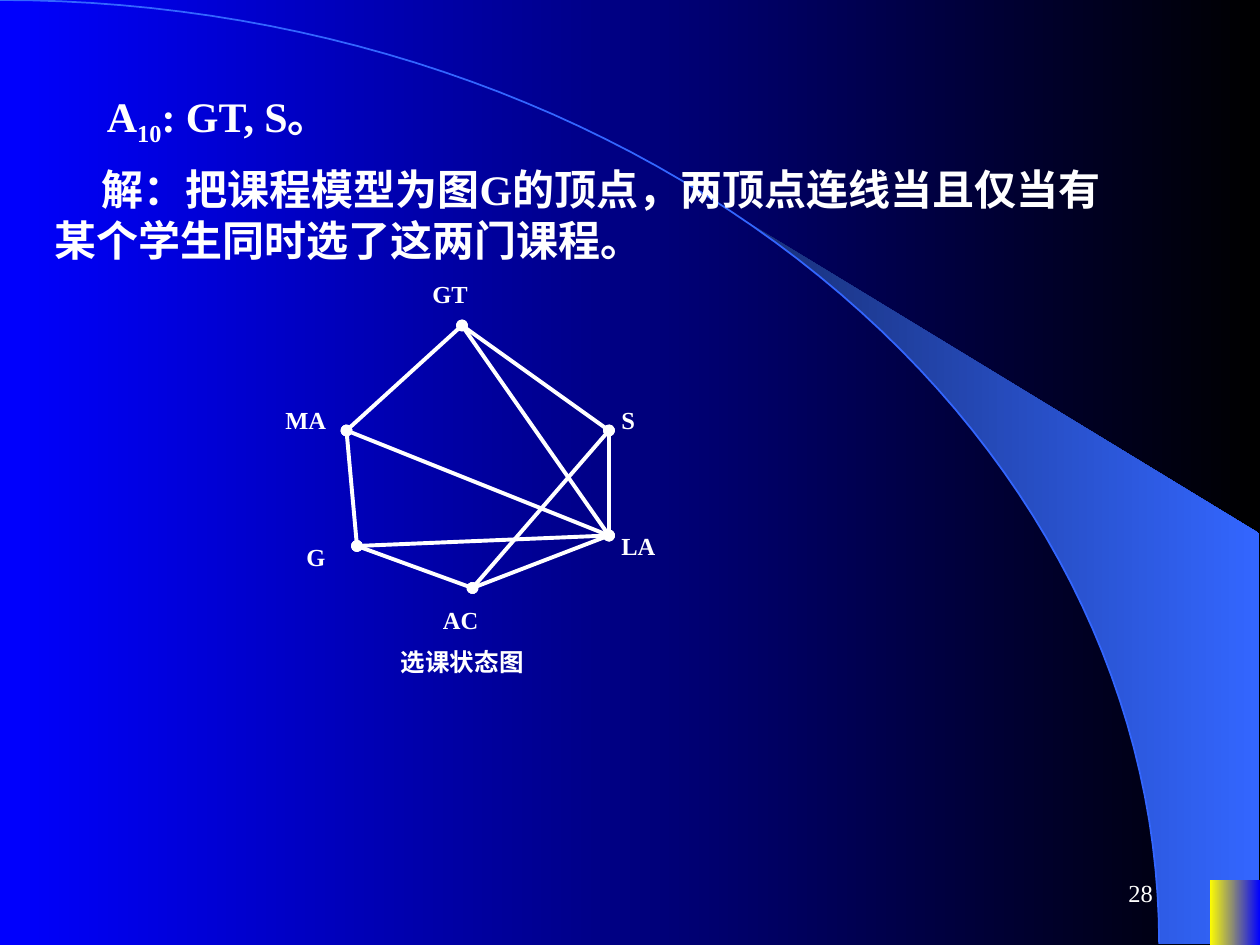
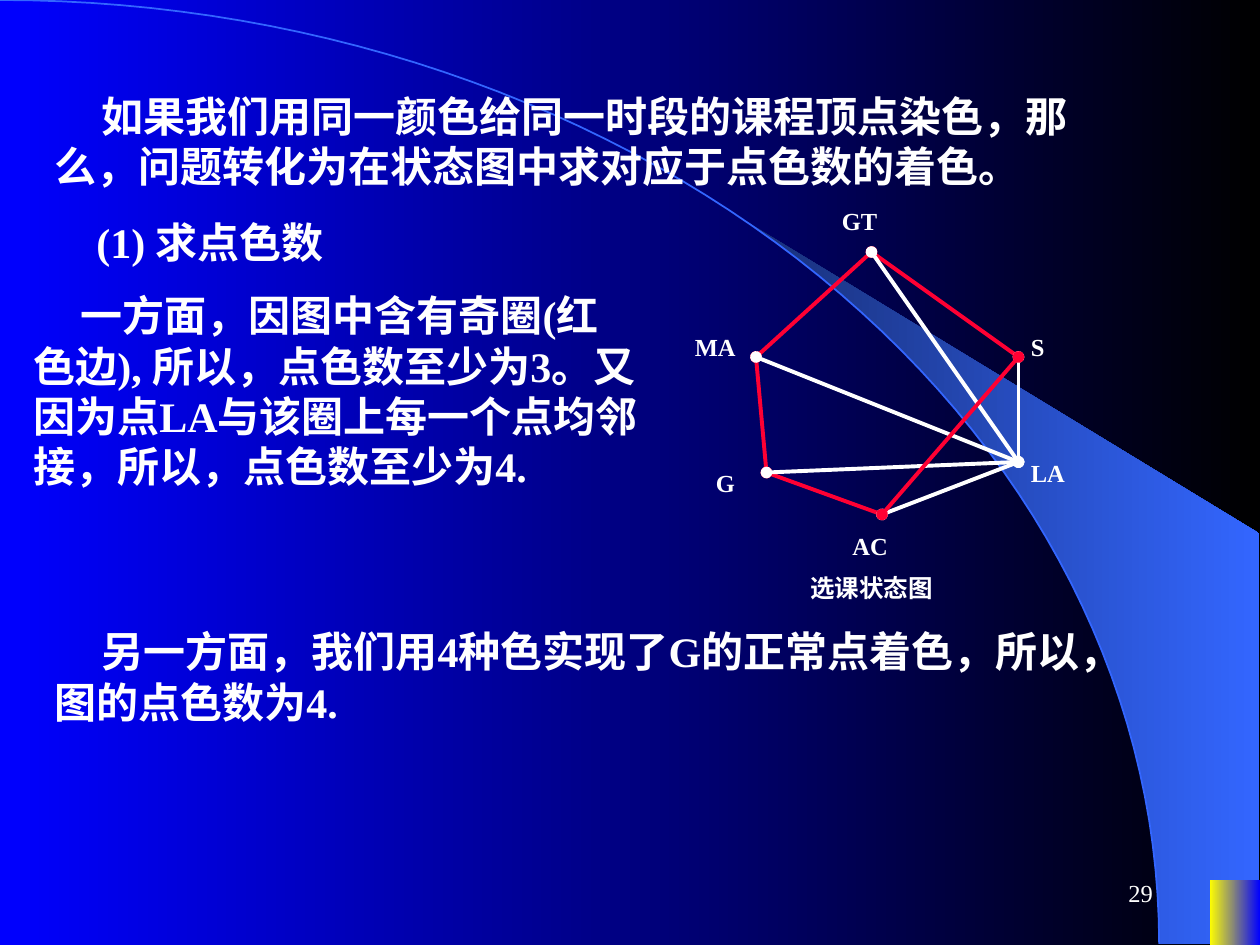
from math import asin, cos, pi, sin

from lxml.etree import SubElement
from pptx import Presentation
from pptx.dml.color import RGBColor
from pptx.enum.lang import MSO_LANGUAGE_ID
from pptx.enum.shapes import MSO_CONNECTOR, MSO_SHAPE
from pptx.enum.text import MSO_ANCHOR, MSO_AUTO_SIZE, PP_ALIGN
from pptx.oxml.ns import qn
from pptx.util import Inches, Pt

WHITE = RGBColor(0xFF, 0xFF, 0xFF)
BLACK = RGBColor(0x00, 0x00, 0x00)
BLUE = RGBColor(0x00, 0x00, 0xFF)
NAVY = RGBColor(0x18, 0x2F, 0x76)
SKY = RGBColor(0x33, 0x66, 0xFF)
YELLOW = RGBColor(0xFF, 0xFF, 0x00)
RED = RGBColor(0xFF, 0x00, 0x33)
FONT = "Times New Roman"

COLUMNS, ROWS = 120, 90
ARC_WIDTH, ARC_HEIGHT = 110.4, 89.9
SWEEP_START = asin(0.64)
LATIN_INDENT, CHINESE_INDENT = 5, 4.5

VERTICES = {
    "GT": (18, 5), "MA": (7, 15), "S": (32, 15),
    "G": (8, 26), "LA": (32, 25), "AC": (19, 30),
}
LABELS = {
    "GT": (14, 0), "MA": (0, 12), "G": (2, 25),
    "AC": (15, 31), "LA": (32, 24), "S": (32, 12),
}
EDGES = [
    ("GT", "MA"), ("GT", "S"), ("MA", "G"), ("S", "LA"), ("G", "AC"),
    ("LA", "AC"), ("GT", "LA"), ("MA", "LA"), ("G", "LA"), ("S", "AC"),
]
ODD_CYCLE = {("GT", "MA"), ("GT", "S"), ("MA", "G"), ("G", "AC"), ("S", "AC")}


def arc_points(start, steps=60):
    angles = [start + (pi / 2 - start) * step / steps for step in range(steps + 1)]
    return [(ARC_WIDTH * sin(a), ARC_HEIGHT * (1 - cos(a))) for a in angles]


def gradient(fill, first, last):
    fill.gradient()
    fill.gradient_angle = 0
    for stop, color in zip(fill.gradient_stops, (first, last)):
        stop.color.rgb = color


class CourseDeck:
    def __init__(self):
        self.deck = Presentation()
        self.deck.slide_width, self.deck.slide_height = Inches(10), Inches(7.5)
        self.layout = self.deck.slide_layouts[6]
        self.page = None

    def x(self, columns):
        return round(self.deck.slide_width * columns / COLUMNS)

    def y(self, rows):
        return round(self.deck.slide_height * rows / ROWS)

    def area(self, left, top, width, height):
        return self.x(left), self.y(top), self.x(width), self.y(height)

    def add_page(self, number):
        self.page = self.deck.slides.add_slide(self.layout)
        if number == 28:
            self.decorate_layout()
        box = self.text((86, 82, 25, 6), [str(number)], size=14, bold=False)
        box.text_frame.vertical_anchor = MSO_ANCHOR.MIDDLE
        box.text_frame.paragraphs[0].alignment = PP_ALIGN.RIGHT

    def decorate_layout(self):
        gradient(self.layout.background.fill, BLUE, BLACK)
        sweep = self.outline(
            arc_points(SWEEP_START) + [(119.9, ARC_HEIGHT), (119.9, 50.8)], True)
        gradient(sweep.fill, NAVY, SKY)
        sweep.line.fill.background()
        arc = self.outline(arc_points(0), False)
        arc.fill.background()
        arc.line.color.rgb = SKY
        arc.line.width = Pt(1)
        corner = self.page.shapes.add_shape(
            MSO_SHAPE.RECTANGLE, *self.area(115.2, 83.8, 4.8, 6.2))
        corner.shadow.inherit = False
        gradient(corner.fill, YELLOW, BLUE)
        corner.line.fill.background()
        for shape in (sweep, arc, corner):
            self.layout.shapes.element.append(shape.element)

    def outline(self, points, close):
        points = [(self.x(column), self.y(row)) for column, row in points]
        builder = self.page.shapes.build_freeform(*points[0])
        builder.add_line_segments(points[1:], close=close)
        shape = builder.convert_to_shape()
        shape.shadow.inherit = False
        return shape

    def text(self, area, spans, size=24, bold=True, indent=0, shapes=None):
        shapes = self.page.shapes if shapes is None else shapes
        box = shapes.add_textbox(*self.area(*area))
        frame = box.text_frame
        frame.word_wrap = True
        frame.auto_size = MSO_AUTO_SIZE.SHAPE_TO_FIT_TEXT if bold else MSO_AUTO_SIZE.NONE
        para = frame.paragraphs[0]
        if indent:
            properties = para._p.get_or_add_pPr()
            properties.set("marL", "0")
            properties.set("indent", str(self.x(indent)))
        for position, words in enumerate(spans):
            span = para.add_run()
            span.text = words
            span.font.name = FONT
            span.font.size = Pt(size)
            span.font.bold = bold
            span.font.color.rgb = WHITE
            span.font.language_id = MSO_LANGUAGE_ID.SIMPLIFIED_CHINESE
            if position % 2:
                span._r.get_or_add_rPr().set("baseline", "-25000")
        return box

    def edge(self, shapes, start, end, color):
        line = shapes.add_connector(
            MSO_CONNECTOR.STRAIGHT,
            self.x(start[0]), self.y(start[1]), self.x(end[0]), self.y(end[1]))
        line.line.color.rgb = color
        line.line.width = Pt(2.25)
        outline = line.line._get_or_add_ln()
        for tag in ("a:headEnd", "a:tailEnd"):
            SubElement(outline, qn(tag), type="oval")
        SubElement(line.element.spPr, qn("a:effectLst"))

    def course_graph(self, left, top, red_edges=()):
        shapes = self.page.shapes.add_group_shape().shapes
        places = {name: (left + column, top + row)
                  for name, (column, row) in VERTICES.items()}
        for start, end in EDGES:
            color = RED if (start, end) in red_edges else WHITE
            self.edge(shapes, places[start], places[end], color)
        for name, (column, row) in LABELS.items():
            self.text((left + column, top + row, 8.2, 4.1), [name], size=14, shapes=shapes)
        self.text((left + 11, top + 35, 19, 4.1), ["选课状态图"], size=14, shapes=shapes)


def main():
    course = CourseDeck()

    course.add_page(28)
    course.text((4, 8, 102, 6.7), ["A", "10", ": GT, S。"], indent=LATIN_INDENT)
    course.text(
        (4, 15, 102, 10.8),
        ["解：把课程模型为图G的顶点，两顶点连线当且仅当有某个学生同时选了这两门课程。"],
        indent=CHINESE_INDENT)
    course.course_graph(26, 26)

    course.add_page(29)
    course.text(
        (4, 8, 102, 10.8),
        ["如果我们用同一颜色给同一时段的课程顶点染色，那么，问题转化为在状态图中求对应于点色数的着色。"],
        indent=CHINESE_INDENT)
    course.text((3, 20, 102, 6), ["(1) 求点色数"], indent=LATIN_INDENT)
    course.text(
        (2, 27, 60, 20.4),
        ["一方面，因图中含有奇圈(红色边), 所以，点色数至少为3。"
         "又因为点LA与该圈上每一个点均邻接，所以，点色数至少为4."],
        indent=CHINESE_INDENT)
    course.course_graph(65, 19, ODD_CYCLE)
    course.text(
        (4, 59, 102, 10.8),
        ["另一方面，我们用4种色实现了G的正常点着色，所以，图的点色数为4."],
        indent=CHINESE_INDENT)

    course.deck.save("out.pptx")


if __name__ == "__main__":
    main()
